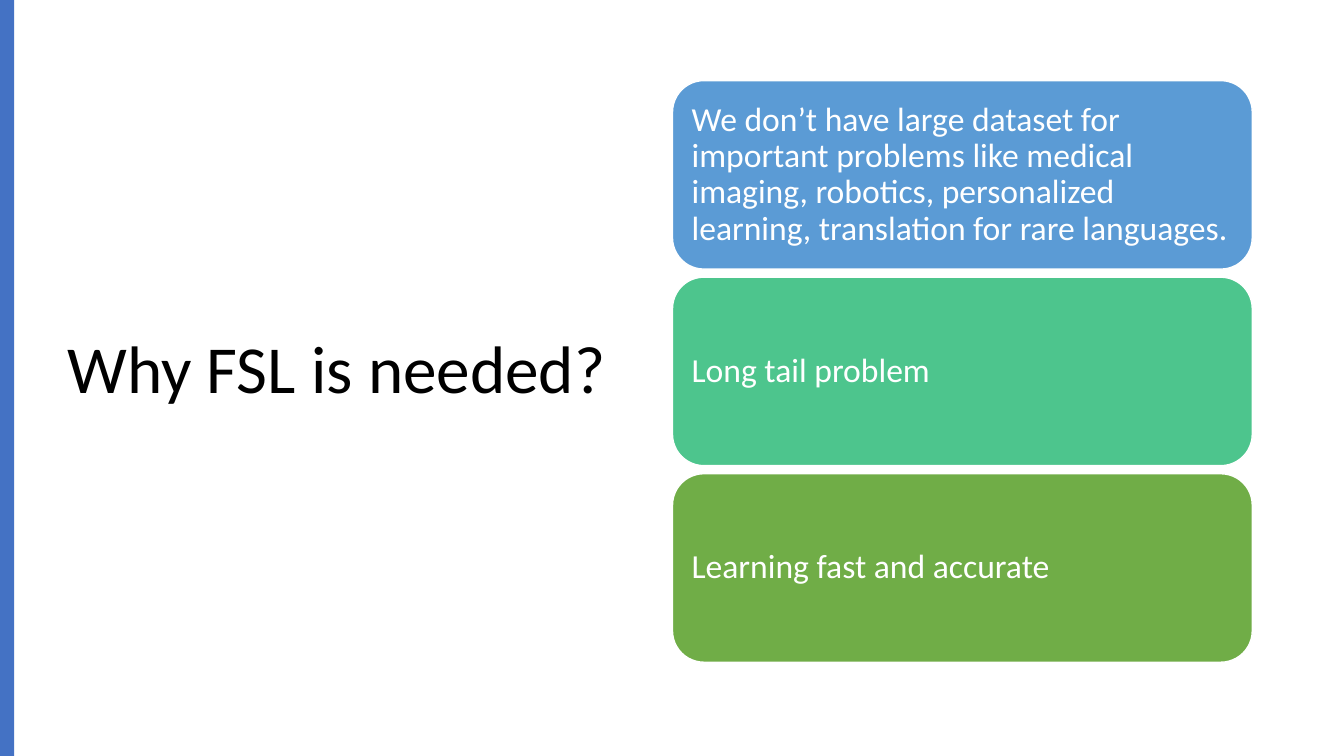
from dataclasses import dataclass

from pptx import Presentation
from pptx.dml.color import RGBColor
from pptx.enum import shapes, text
from pptx.util import Inches, Pt


@dataclass(frozen=True)
class Theme:
    font: str = "Calibri"
    title_size: int = 48
    reason_size: int = 24
    black: str = "000000"
    white: str = "FFFFFF"
    accent: str = "4472C4"


THEME = Theme()

REASONS = [
    ("We don’t have large dataset for important problems like medical imaging, "
     "robotics, personalized learning, translation for rare languages.", "5B9BD5"),
    ("Long tail problem", "4DC58D"),
    ("Learning fast and accurate", "70AD47"),
]
REASON_TOP, REASON_STEP = 0.8, 1.95


def write(frame, words, size, color):
    frame.text = words
    frame.word_wrap = True
    frame.auto_size = text.MSO_AUTO_SIZE.NONE
    frame.vertical_anchor = text.MSO_ANCHOR.MIDDLE
    paragraph = frame.paragraphs[0]
    paragraph.alignment = text.PP_ALIGN.LEFT
    paragraph.line_spacing = 0.9
    font = paragraph.runs[0].font
    font.name = THEME.font
    font.size = Pt(size)
    font.color.rgb = RGBColor.from_string(color)


def add_block(slide, preset, left, top, width, height, fill):
    block = slide.shapes.add_shape(
        preset, Inches(left), Inches(top), Inches(width), Inches(height))
    block.shadow.inherit = False
    block.fill.solid()
    block.fill.fore_color.rgb = RGBColor.from_string(fill)
    block.line.fill.background()
    return block


def add_reason(slide, top, words, fill):
    card = add_block(slide, shapes.MSO_SHAPE.ROUNDED_RECTANGLE,
                     6.67, top, 5.75, 1.87, fill)
    card.line.color.rgb = RGBColor.from_string(THEME.white)
    card.line.width = Pt(1)
    frame = card.text_frame
    frame.margin_left = frame.margin_right = Inches(0.1)
    frame.margin_top = frame.margin_bottom = Inches(0.1)
    write(frame, words, THEME.reason_size, THEME.white)


def set_title(slide, words):
    title = slide.shapes.title
    title.left, title.top = Inches(0.57), Inches(0.68)
    title.width, title.height = Inches(5.67), Inches(6.02)
    write(title.text_frame, words, THEME.title_size, THEME.black)


def main():
    deck = Presentation()
    deck.slide_width, deck.slide_height = Inches(13.33), Inches(7.5)
    slide = deck.slides.add_slide(deck.slide_layouts[5])

    # Title and accent bar on the left
    set_title(slide, "Why FSL is needed?")
    add_block(slide, shapes.MSO_SHAPE.RECTANGLE, 0, 0, 0.14, 7.5, THEME.accent)

    # Stack of reasons on the right
    for row, (words, fill) in enumerate(REASONS):
        add_reason(slide, REASON_TOP + row * REASON_STEP, words, fill)

    deck.save("out.pptx")


if __name__ == "__main__":
    main()
